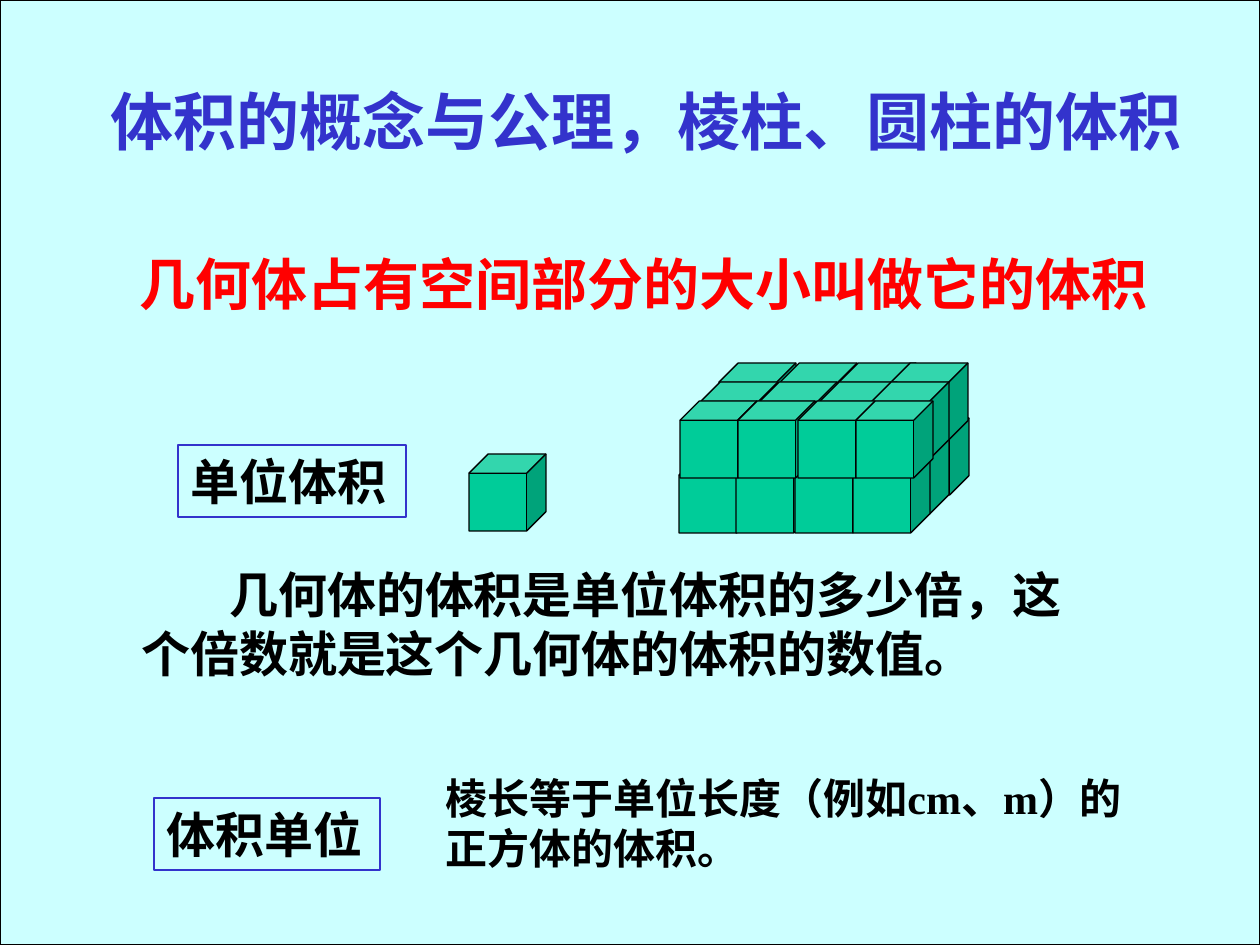
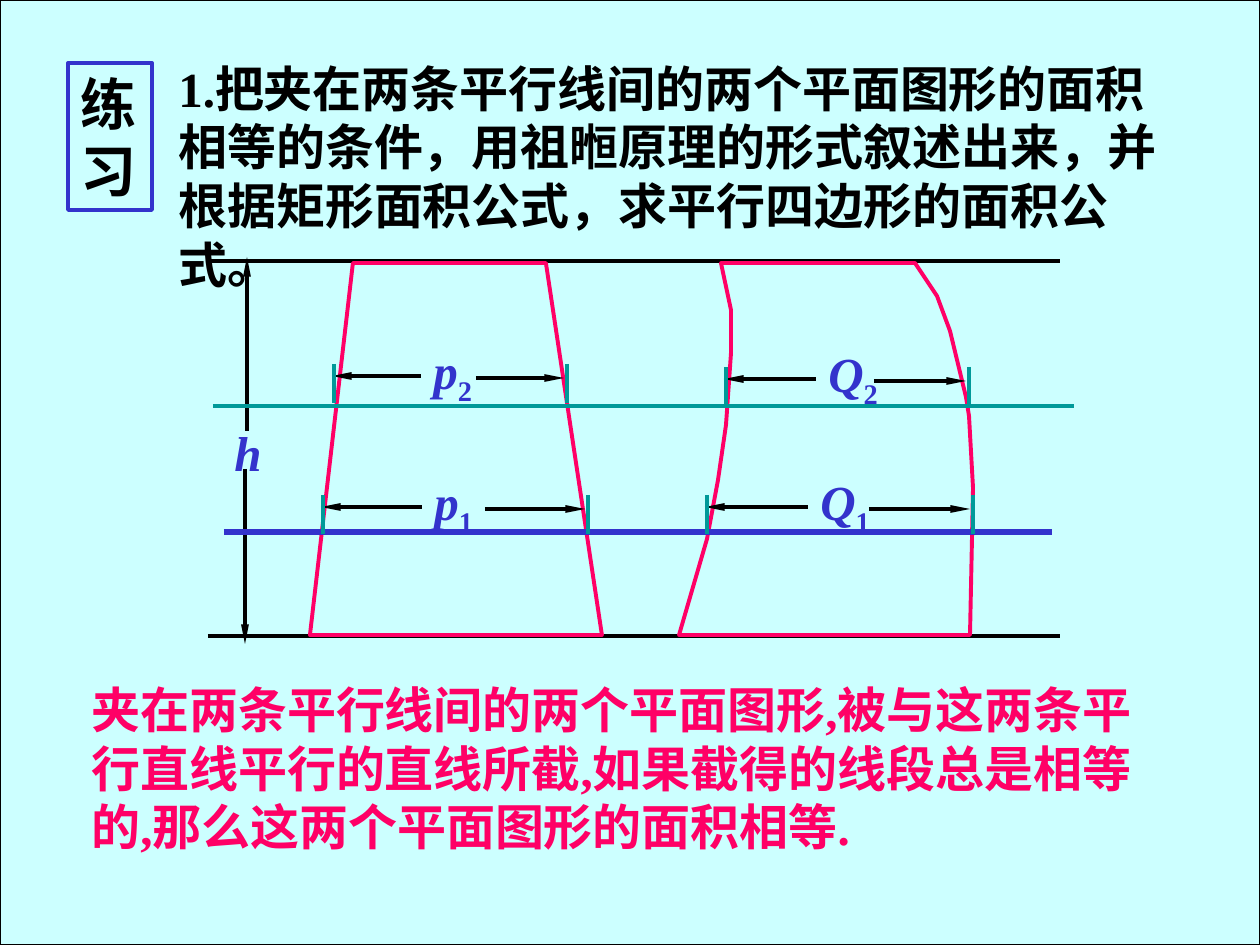
from pptx import Presentation
from pptx import util as u
from pptx.dml.color import RGBColor
from pptx.enum import lang, shapes, text
from pptx.oxml.ns import qn
from lxml import etree

PX = 914400 / 126
WIDTH, HEIGHT = 1260, 945
FONT = "Times New Roman"

PALE_CYAN = RGBColor(0xCC, 0xFF, 0xFF)
BLACK = RGBColor(0, 0, 0)
BLUE = RGBColor(0x33, 0x33, 0xCC)
RED = RGBColor(0xFF, 0, 0)
PINK = RGBColor(0xFF, 0, 0x66)
GREEN = RGBColor(0, 0xCC, 0x99)
TEAL = RGBColor(0, 0x99, 0x99)

CUBE_SIZE = 77
# Rows of the stack from back to front, lower layer first: top, lefts
CUBE_ROWS = [
    (397, (736, 795, 854)),
    (418, (718, 777, 837, 892)),
    (437, (699, 758, 818, 872)),
    (456, (679, 736, 795, 853)),
    (363, (719, 780, 839, 891)),
    (382, (701, 760, 820, 872)),
    (401, (680, 738, 798, 856)),
]

TRAPEZOID = [(353, 263), (546, 263), (602, 635), (310, 635)]
CURVED_FIGURE = [
    (721, 263), (915, 263), (937, 296), (950, 331), (966, 397), (969, 416),
    (973, 488), (970, 635), (679, 635), (707, 539), (718, 480), (726, 425),
    (731, 353), (731, 310),
]

# Letter, index, left tick, right tick, tick top, label left, label width,
# start of the right arrow
MEASURES = [
    ("Q", "1", 707, 973, 495, 808, 74, 869),
    ("p", "1", 323, 588, 495, 422, 63, 485),
    ("p", "2", 334, 567, 364, 421, 63, 476),
    ("Q", "2", 726, 969, 367, 816, 74, 874),
]


def emu(*lengths):
    return [round(n * PX) for n in lengths]


def set_line(shape, color, points):
    shape.line.color.rgb = color
    shape.line.width = u.Pt(points)


def add_solid(parent, kind, box, fill, points):
    sp = parent.add_shape(kind, *emu(*box))
    sp.shadow.inherit = False
    sp.fill.solid()
    sp.fill.fore_color.rgb = fill
    set_line(sp, BLACK, points)


def add_cube(parent, left, top):
    add_solid(parent, shapes.MSO_SHAPE.CUBE,
              (left, top, CUBE_SIZE, CUBE_SIZE), GREEN, 0.75)


def style_run(r, size, color, italic=False):
    r.font.name = FONT
    r.font.language_id = lang.MSO_LANGUAGE_ID.SIMPLIFIED_CHINESE
    r.font.size = u.Pt(size)
    r.font.bold = True
    r.font.italic = italic
    r.font.color.rgb = color


def add_text(parent, box, words, size, color=BLACK, italic=False,
             border=None, indent=0):
    sp = parent.add_textbox(*emu(*box))
    if border:
        set_line(sp, BLUE, border)
    tf = sp.text_frame
    tf.word_wrap = True
    tf.auto_size = text.MSO_AUTO_SIZE.SHAPE_TO_FIT_TEXT
    p = tf.paragraphs[0]
    p.text = words
    pPr = p._p.get_or_add_pPr()
    pPr.set("hangingPunct", "0")
    if indent:
        pPr.set("indent", str(emu(indent)[0]))
    style_run(p.runs[0], size, color, italic)
    return tf


def add_line(parent, start, end, color=BLACK, points=2.25, arrow=False):
    line = parent.add_connector(shapes.MSO_CONNECTOR.STRAIGHT,
                                *emu(*start, *end))
    set_line(line, color, points)
    if arrow:
        etree.SubElement(line.line._get_or_add_ln(), qn("a:tailEnd"),
                         type="triangle", w="sm", len="lg")
    etree.SubElement(line._element.spPr, qn("a:effectLst"))


def add_outline(parent, points):
    builder = parent.build_freeform(*points[0], scale=PX)
    builder.add_line_segments(points[1:], close=True)
    sp = builder.convert_to_shape()
    sp.shadow.inherit = False
    sp.fill.background()
    set_line(sp, PINK, 2.25)


def add_measure(parent, letter, index, left, right, top,
                label_left, label_width, right_start):
    group = parent.add_group_shape().shapes
    tf = add_text(group, (label_left, top - 30, label_width, 79), letter, 28,
                  BLUE, italic=True)
    tf.margin_right = 0
    r = tf.paragraphs[0].add_run()
    r.text = index
    style_run(r, 28, BLUE)
    r._r.get_or_add_rPr().set("baseline", "-25000")
    add_line(group, (right_start, top + 14), (right - 3, top + 14), arrow=True)
    add_line(group, (label_left, top + 12), (left - 2, top + 12), arrow=True)
    for x in (left, right):
        add_line(group, (x, top), (x, top + 39), TEAL)


def new_slide(prs):
    s = prs.slides.add_slide(prs.slide_layouts[6])
    add_solid(s.shapes, shapes.MSO_SHAPE.RECTANGLE,
              (0, 0, WIDTH, HEIGHT), PALE_CYAN, 1)
    return s.shapes


def build_volume_slide(prs):
    s = new_slide(prs)
    add_text(s, (98, 76, 1097, 88), "体积的概念与公理，棱柱、圆柱的体积", 36, BLUE)
    add_text(s, (127, 243, 1043, 81), "几何体占有空间部分的大小叫做它的体积", 32, RED)

    # Unit cube and the stack measured with it
    add_text(s, (178, 445, 228, 72), "单位体积", 28, border=0.75)
    add_cube(s, 469, 454)
    stack = s.add_group_shape().shapes
    for top, lefts in CUBE_ROWS:
        for left in lefts:
            add_cube(stack, left, top)
    add_text(s, (129, 558, 993, 131),
             "几何体的体积是单位体积的多少倍，这个倍数就是这个几何体的体积的数值。",
             28, indent=88)

    # Unit of volume
    add_text(s, (154, 798, 226, 72), "体积单位", 28, border=0.75)
    add_text(s, (433, 766, 735, 113),
             "棱长等于单位长度（例如cm、m）的正方体的体积。", 24)


def build_exercise_slide(prs):
    s = new_slide(prs)
    add_text(s, (68, 63, 84, 147), "练习", 32, border=2.25)
    add_text(s, (166, 52, 1036, 189),
             "1.把夹在两条平行线间的两个平面图形的面积相等的条件，用祖暅原理的形式叙述出来，"
             "并根据矩形面积公式，求平行四边形的面积公式。", 28)

    # Parallel lines and the figures between them
    for y in (261, 636):
        add_line(s, (208, y), (1060, y))
    for figure in (TRAPEZOID, CURVED_FIGURE):
        add_outline(s, figure)

    # Height
    height = s.add_group_shape().shapes
    add_text(height, (222, 416, 53, 72), "h", 28, BLUE, italic=True)
    add_line(height, (245, 469), (245, 644), arrow=True)
    add_line(height, (247, 431), (247, 257), arrow=True)

    # Cutting lines and the segments they cut off
    add_line(s, (224, 532), (1052, 532), BLUE, 3)
    add_line(s, (213, 406), (1074, 406), TEAL)
    for measure in MEASURES:
        add_measure(s, *measure)

    add_text(s, (79, 673, 1104, 189),
             "夹在两条平行线间的两个平面图形,被与这两条平行直线平行的直线所截,"
             "如果截得的线段总是相等的,那么这两个平面图形的面积相等.", 28, PINK)


def main():
    prs = Presentation()
    prs.slide_width, prs.slide_height = emu(WIDTH, HEIGHT)
    build_volume_slide(prs)
    build_exercise_slide(prs)
    prs.save("out.pptx")


if __name__ == "__main__":
    main()
